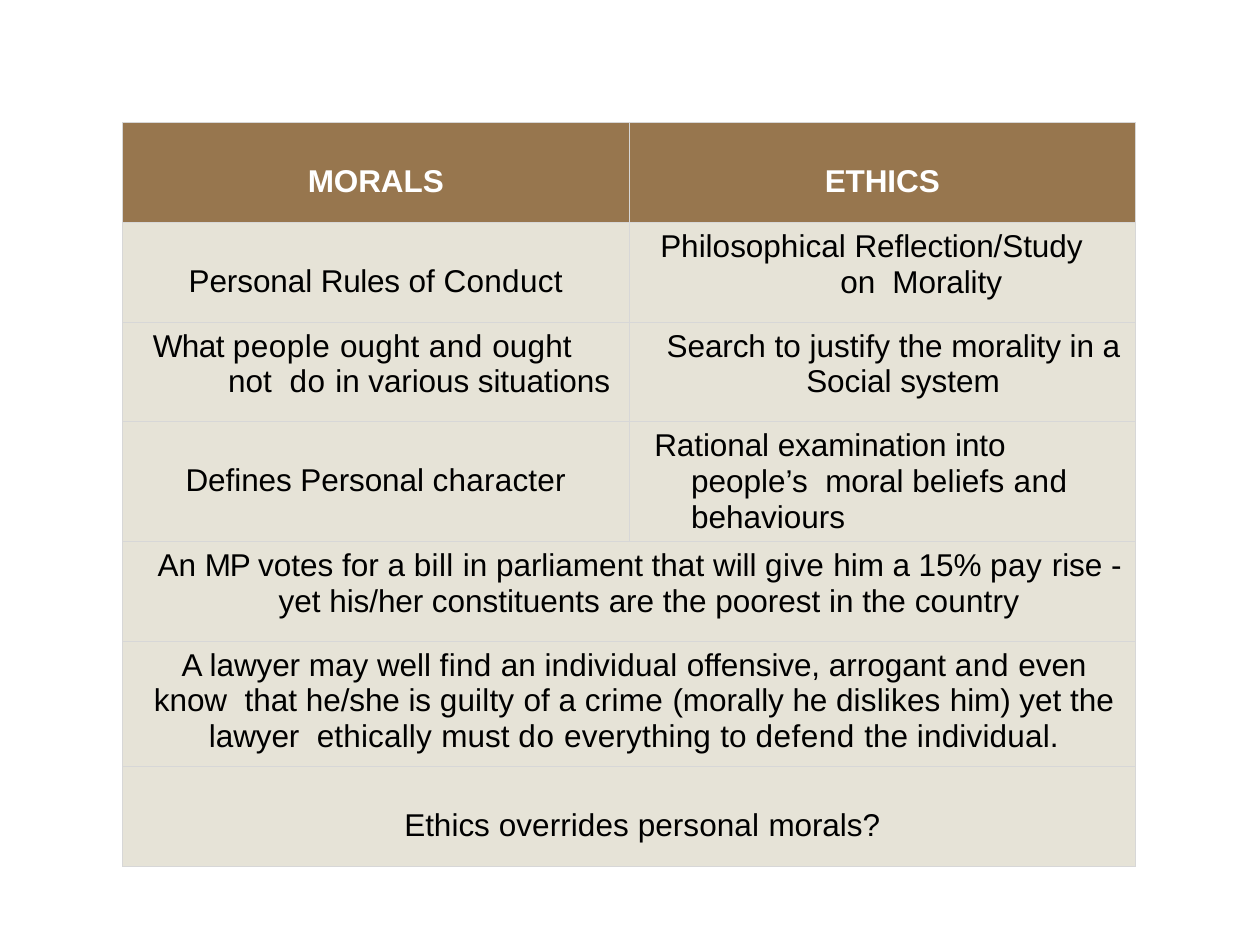
from dataclasses import dataclass

from lxml.etree import SubElement
from pptx import Presentation
from pptx.dml.color import RGBColor
from pptx.enum.text import PP_ALIGN as Align
from pptx.oxml.ns import qn
from pptx.util import Cm, Pt

BROWN, CREAM, GREY = "97764E", "E6E3D7", "D7D7D7"
WHITE, BLACK = "FFFFFF", "000000"
EDGE, COL_W = 2.47, 10.21
ROW_H = [2.01] * 5 + [2.52, 2.02]
TOP, LOWERED = 0.13, 0.84  # top margins in cm


@dataclass
class Entry:
    row: int
    col: int
    runs: list[tuple[str, float]]  # text and letter spacing in points
    left: float = 0
    hang: float = 0
    top: float = TOP
    centred: bool = False
    wide: bool = False
    header: bool = False


ENTRIES = [
    # Headings
    Entry(0, 0, [("MORALS", -0.05)], top=LOWERED, centred=True, header=True),
    Entry(0, 1, [("ETHICS", -0.05)], top=LOWERED, centred=True, header=True),
    # Comparison
    Entry(1, 0, [("Personal ", -0.05), ("Rules ", -0.2), ("of ", 0), ("Conduct", 0.2)],
          top=LOWERED, centred=True),
    Entry(1, 1, [("Philosophical ", 0), ("Reflection/Study on  Morality", -0.05)],
          left=4.01, hang=-3.63),
    Entry(2, 0, [("What ", -0.3), ("people ", 0.3), ("ought ", 0.1), ("and ", 0.3),
                 ("ought ", 0.1), ("not  ", 0), ("do ", 0.4),
                 ("in various situations", -0.05)], left=1.88, hang=-1.52),
    Entry(2, 1, [("Search ", -0.05), ("to justify the ", 0),
                 ("morality in a  Social ", -0.05), ("system", 0)],
          left=3.15, hang=-2.64),
    Entry(3, 0, [("Defines Personal ", -0.05), ("character", 0.15)],
          top=LOWERED, centred=True),
    Entry(3, 1, [("Rational examination into ", -0.05), ("people’s  ", 0),
                 ("moral ", -0.05), ("beliefs ", 0.1), ("and ", 0.3),
                 ("behaviours", 0)], left=1, hang=-0.74),
    # Examples across both columns
    Entry(4, 0, [("An ", -0.05), ("MP ", -0.6), ("votes for ", 0), ("a ", -0.05),
                 ("bill ", 0.2), ("in ", -0.05), ("parliament that ", 0),
                 ("will ", -0.05), ("give ", 0.2), ("him a 15% ", -0.05),
                 ("pay ", 0.3), ("rise ", -0.05), ("-  yet ", 0), ("his/her ", -0.05),
                 ("constituents ", 0), ("are ", -0.05), ("the poorest ", 0),
                 ("in ", -0.05), ("the ", 0), ("country", 0.1)],
          left=2.72, hang=-2.26, wide=True),
    Entry(5, 0, [("A ", 0), ("lawyer ", -0.05), ("may ", 0), ("well ", -0.05),
                 ("find ", 0.2), ("an ", -0.05), ("individual ", 0.1),
                 ("offensive, ", -0.05), ("arrogant ", 0), ("and ", 0.3),
                 ("even know ", -0.05), (" that ", 0), ("he/she is ", -0.05),
                 ("guilty ", 0.1), ("of ", 0), ("a ", -0.05), ("crime ", 0.2),
                 ("(morally he ", -0.05), ("dislikes ", 0.1), ("him) ", -0.05),
                 ("yet the ", 0), ("lawyer  ", -0.05), ("ethically ", 0.1),
                 ("must ", 0), ("do ", 0.4), ("everything ", 0.1), ("to ", 0),
                 ("defend ", 0.3), ("the ", 0), ("individual.", 0.1)],
          left=0.2, centred=True, wide=True),
    Entry(6, 0, [("Ethics ", 0), ("overrides personal ", 0.05), ("morals?", -0.05)],
          left=5.43, top=LOWERED, wide=True),
]


def rgb(code: str) -> RGBColor:
    return RGBColor.from_string(code)


def draw_panel(shapes, left: float) -> None:
    """Brown panel behind one heading."""
    right, bottom = left + COL_W, EDGE + ROW_H[0]
    builder = shapes.build_freeform(Cm(left), Cm(EDGE))
    builder.add_line_segments([(Cm(right), Cm(EDGE)), (Cm(right), Cm(bottom)),
                               (Cm(left), Cm(bottom))])
    sp = builder.convert_to_shape()
    sp.shadow.inherit = False
    sp.fill.solid()
    sp.fill.fore_color.rgb = rgb(BROWN)
    sp.line.fill.background()


def style_cell(cell, header: bool) -> None:
    """Thin grey borders on all sides; headings let the panel show."""
    tc_pr = cell._tc.get_or_add_tcPr()
    for side in ("lnL", "lnR", "lnT", "lnB"):
        ln = SubElement(tc_pr, qn(f"a:{side}"), w=str(Pt(0.23)))
        solid = SubElement(ln, qn("a:solidFill"))
        SubElement(solid, qn("a:srgbClr"), val=GREY)
    if header:
        cell.fill.background()
    else:
        cell.fill.solid()
        cell.fill.fore_color.rgb = rgb(CREAM)


def write_entry(table, entry: Entry) -> None:
    cell = table.cell(entry.row, entry.col)
    if entry.wide:
        cell.merge(table.cell(entry.row, 1))
    cell.margin_left = cell.margin_right = Cm(0.25)
    cell.margin_top, cell.margin_bottom = Cm(entry.top), Cm(TOP)
    p = cell.text_frame.paragraphs[0]
    p.alignment = Align.CENTER if entry.centred else Align.LEFT
    if entry.top == TOP:
        p.line_spacing = 1.01
    p_pr = p._p.get_or_add_pPr()
    p_pr.set("marL", str(Cm(entry.left)))
    p_pr.set("indent", str(Cm(entry.hang)))
    for text, spacing in entry.runs:
        r = p.add_run()
        r.text = text
        r.font.name, r.font.size = "Arial", Pt(18)
        r.font.bold = entry.header
        r.font.color.rgb = rgb(WHITE if entry.header else BLACK)
        r.font._element.set("spc", str(round(spacing * 100)))


def main() -> None:
    prs = Presentation()
    prs.slide_width, prs.slide_height = Cm(25.4), Cm(19.05)
    s = prs.slides.add_slide(prs.slide_layouts[6])

    # Heading panels
    for col in range(2):
        draw_panel(s.shapes, EDGE + col * COL_W)

    # Table grid
    table = s.shapes.add_table(len(ROW_H), 2, Cm(EDGE), Cm(EDGE),
                               Cm(2 * COL_W), Cm(sum(ROW_H))).table
    table.first_row = table.horz_banding = False
    for column in table.columns:
        column.width = Cm(COL_W)
    for i, (row, height) in enumerate(zip(table.rows, ROW_H)):
        row.height = Cm(height)
        for cell in row.cells:
            style_cell(cell, header=i == 0)

    # Wording
    for entry in ENTRIES:
        write_entry(table, entry)
    prs.save("out.pptx")


if __name__ == "__main__":
    main()
